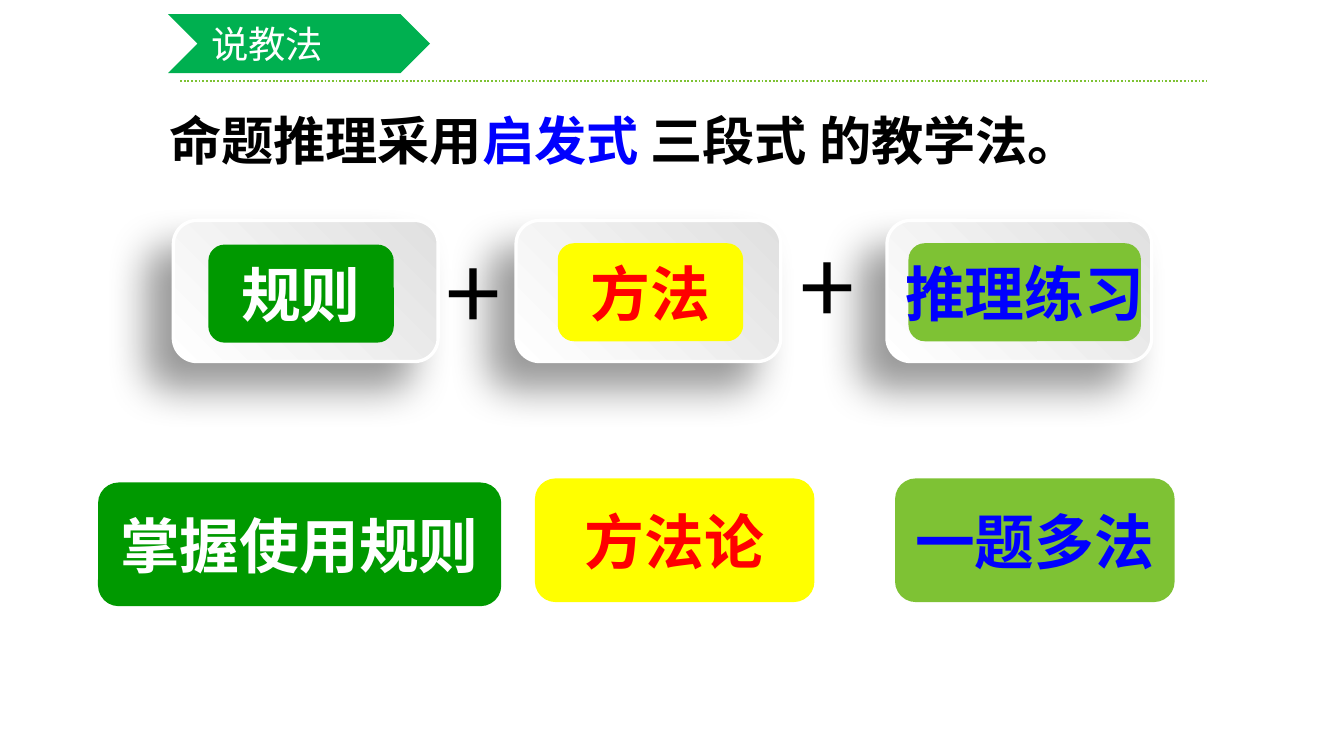
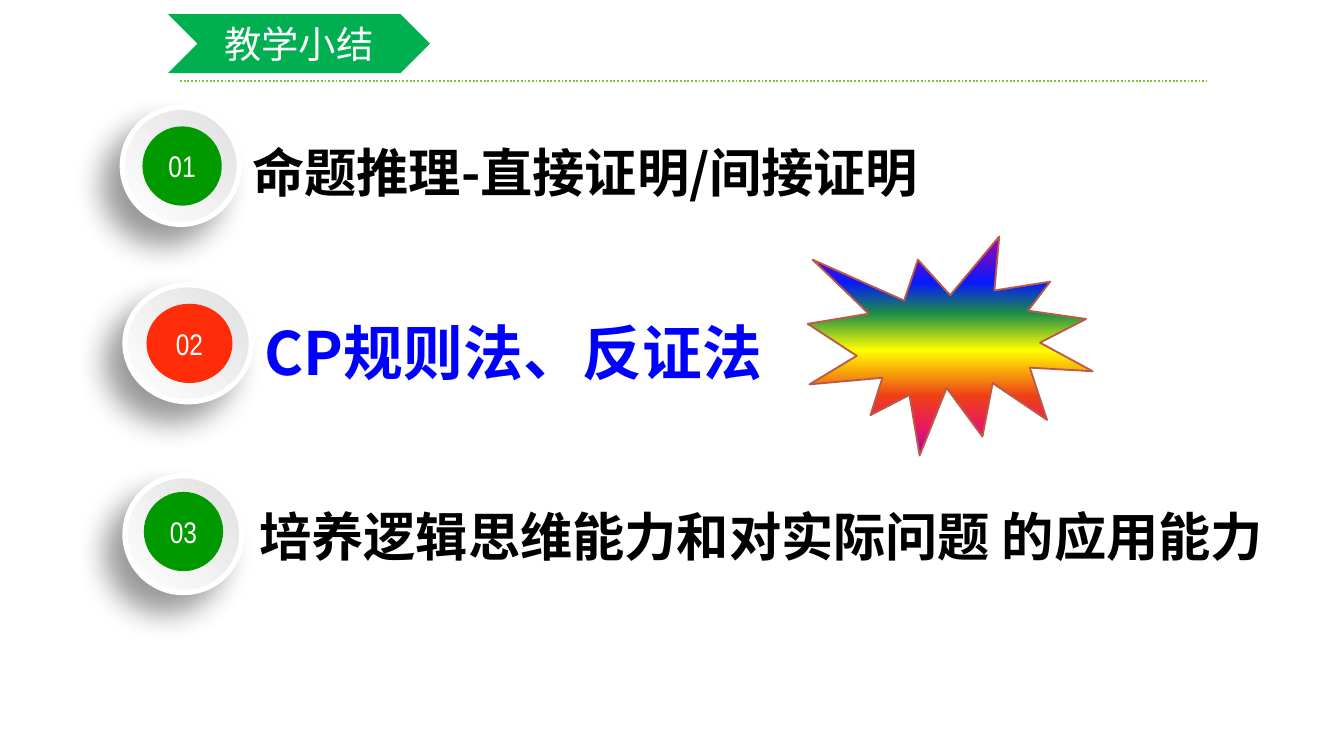
from dataclasses import dataclass

from lxml.etree import Element, SubElement
from pptx import Presentation
from pptx.dml.color import RGBColor
from pptx.enum.dml import MSO_LINE
from pptx.enum.shapes import MSO_CONNECTOR, MSO_SHAPE
from pptx.enum.text import MSO_ANCHOR, MSO_AUTO_SIZE, PP_ALIGN
from pptx.oxml.ns import qn
from pptx.util import Inches, Pt


@dataclass(frozen=True)
class Theme:
    font: str = "Noto Sans CJK SC"
    number_font: str = "Arial Narrow"
    white: str = "FFFFFF"
    black: str = "000000"
    banner: str = "00B050"
    green: str = "009900"
    lime: str = "7EC234"
    yellow: str = "FFFF00"
    red: str = "FF0000"
    orange: str = "FF2C0A"
    blue: str = "0000FF"
    burst_edge: str = "BD5949"
    title_size: int = 20
    number_size: int = 16
    body_size: int = 28
    label_size: int = 32
    plus_size: int = 54
    silver: tuple = ((0, "E0E0E0"), (100, "FFFFFF"))
    rainbow: tuple = ((0, "A603AB"), (21, "0819FB"), (35, "1A8D48"), (52, "FFFF00"),
                      (73, "EE3F17"), (88, "E81766"), (100, "A603AB"))


THEME = Theme()
WIDTH = Inches(10)
HEIGHT = WIDTH * 9 // 16
COLUMNS = 100
CELL = WIDTH / COLUMNS
TEXT_INSETS = (1.3, 0, 1.3, 0)


def grid(*cells):
    return [round(cell * CELL) for cell in cells]


def add_run(paragraph, text, size, color, bold=False, font=THEME.font):
    run = paragraph.add_run()
    run.text = text
    run.font.size = Pt(size)
    run.font.bold = bold
    run.font.color.rgb = RGBColor.from_string(color)
    run.font.name = font
    SubElement(run.font._element, qn("a:ea"), typeface=font)


def set_insets(frame, insets):
    (frame.margin_left, frame.margin_top,
     frame.margin_right, frame.margin_bottom) = grid(*insets)


def fill_gradient(shape, stops, angle):
    gradient = Element(qn("a:gradFill"), rotWithShape="1")
    stop_list = SubElement(gradient, qn("a:gsLst"))
    for position, color in stops:
        stop = SubElement(stop_list, qn("a:gs"), pos=str(position * 1000))
        SubElement(stop, qn("a:srgbClr"), val=color)
    SubElement(gradient, qn("a:lin"), ang=str(angle * 60000), scaled="0")
    shape._element.spPr.find(qn("a:prstGeom")).addnext(gradient)


def cast_shadow(shape, blur, distance):
    effects = shape._element.spPr.find(qn("a:effectLst"))
    shadow = SubElement(effects, qn("a:outerShdw"), blurRad=str(Pt(blur)), dist=str(Pt(distance)),
                        dir=str(135 * 60000), algn="tr", rotWithShape="0")
    color = SubElement(shadow, qn("a:srgbClr"), val=THEME.black)
    SubElement(color, qn("a:alpha"), val="40000")


def add_gradient_shape(shapes, kind, box, stops, angle, edge, edge_width):
    shape = shapes.add_shape(kind, *grid(*box))
    shape.shadow.inherit = False
    fill_gradient(shape, stops, angle)
    shape.line.color.rgb = RGBColor.from_string(edge)
    shape.line.width = Pt(edge_width)
    return shape


def add_raised_plate(shapes, kind, box, edge_width, blur, distance):
    plate = add_gradient_shape(shapes, kind, box, THEME.silver, 135, THEME.white, edge_width)
    cast_shadow(plate, blur, distance)


def add_flat_shape(shapes, kind, box, fill):
    shape = shapes.add_shape(kind, *grid(*box))
    shape.shadow.inherit = False
    shape.fill.solid()
    shape.fill.fore_color.rgb = RGBColor.from_string(fill)
    shape.line.fill.background()
    return shape


def add_label(shapes, kind, box, fill, text, color, size=THEME.label_size,
              bold=True, font=THEME.font):
    frame = add_flat_shape(shapes, kind, box, fill).text_frame
    frame.word_wrap = False
    frame.vertical_anchor = MSO_ANCHOR.MIDDLE
    set_insets(frame, (0, 0, 0, 0))
    frame.paragraphs[0].alignment = PP_ALIGN.CENTER
    add_run(frame.paragraphs[0], text, size, color, bold, font)


def add_text(shapes, box, runs, size, bold=True, align=PP_ALIGN.LEFT,
             insets=(1, 0.5, 1, 0.5), spacing=None):
    frame = shapes.add_textbox(*grid(*box)).text_frame
    frame.word_wrap = True
    set_insets(frame, insets)
    paragraph = frame.paragraphs[0]
    paragraph.alignment = align
    paragraph.line_spacing = spacing
    for text, color in runs:
        add_run(paragraph, text, size, color, bold)


def add_titled_slide(deck, text, align):
    slide = deck.slides.add_slide(deck.slide_layouts[5])
    rule = slide.shapes.add_connector(MSO_CONNECTOR.STRAIGHT, *grid(13.4, 6, 89.8, 6))
    rule.line.color.rgb = RGBColor.from_string(THEME.lime)
    rule.line.width = Pt(1)
    rule.line.dash_style = MSO_LINE.ROUND_DOT
    SubElement(rule._element.spPr, qn("a:effectLst"))

    banner = add_flat_shape(slide.shapes, MSO_SHAPE.CHEVRON, (12.5, 1.05, 19.5, 4.4), THEME.banner)
    title = slide.shapes.title
    banner._element.addnext(title._element)
    title.left, title.top, title.width, title.height = grid(14.7, 1.05, 15.1, 4.4)
    frame = title.text_frame
    frame.auto_size = MSO_AUTO_SIZE.NONE
    frame.vertical_anchor = MSO_ANCHOR.MIDDLE
    set_insets(frame, (1, 0.5, 1, 0.5))
    frame.paragraphs[0].alignment = align
    add_run(frame.paragraphs[0], text, THEME.title_size, THEME.white)
    return slide


def add_method_card(slide, left, label_box, fill, text, color, plus_at=None):
    card = slide.shapes.add_group_shape().shapes
    if plus_at:
        add_text(card, (*plus_at, 10, 9.8), [("+", THEME.black)], THEME.plus_size,
                 bold=False, align=PP_ALIGN.CENTER, insets=(0.7, 0.4, 0.7, 0.4))
    add_raised_plate(card, MSO_SHAPE.ROUNDED_RECTANGLE, (left, 16.4, 19.7, 10.5), 1.75, 22, 20)
    add_label(card, MSO_SHAPE.ROUNDED_RECTANGLE, label_box, fill, text, color)


def add_summary_point(slide, number, disc, badge, fill, text_box, text, color, size, spacing):
    point = slide.shapes.add_group_shape().shapes
    add_raised_plate(point, MSO_SHAPE.OVAL, (*disc, 8.7), 2.75, 16, 14)
    add_label(point, MSO_SHAPE.OVAL, (*badge, 5.9), fill, number, THEME.white,
              THEME.number_size, False, THEME.number_font)
    add_text(point, text_box, [(text, color)], size, insets=TEXT_INSETS, spacing=spacing)


def build_teaching_method(deck):
    slide = add_titled_slide(deck, "说教法", PP_ALIGN.LEFT)
    rules = (THEME.green, THEME.white)
    methods = (THEME.yellow, THEME.red)
    practice = (THEME.lime, THEME.blue)

    for left, label_box, (fill, color), text, plus_at in (
        (12.9, (15.5, 18.2, 13.8, 7.3), rules, "规则", None),
        (38.4, (41.5, 18.1, 13.8, 7.3), methods, "方法", (30.2, 16.8)),
        (66, (67.6, 18.1, 17.3, 7.3), practice, "推理练习", (56.6, 16.3)),
    ):
        add_method_card(slide, left, label_box, fill, text, color, plus_at)

    for left, top, width, (fill, color), text in (
        (7.3, 35.9, 30, rules, "掌握使用规则"),
        (39.8, 35.6, 20.8, methods, "方法论"),
        (66.6, 35.6, 20.8, practice, "一题多法"),
    ):
        add_label(slide.shapes, MSO_SHAPE.ROUNDED_RECTANGLE, (left, top, width, 9.2),
                  fill, text, color)

    add_text(slide.shapes, (11.6, 7.6, 73.3, 5.7),
             [("命题推理采用", THEME.black), ("启发式 ", THEME.blue),
              ("三段式 的教学法。", THEME.black)], THEME.body_size)


def build_summary(deck):
    slide = add_titled_slide(deck, "教学小结", PP_ALIGN.CENTER)
    plain = (THEME.black, THEME.body_size, 1.2)
    stressed = (THEME.blue, THEME.label_size, 1.5)
    for number, disc, badge, fill, text_box, text, style in (
        ("01", (9.1, 8, 8.7), (10.6, 9.4, 5.9), THEME.green,
         (16.6, 9.5, 55.1, 5.9), " 命题推理-直接证明/间接证明", plain),
        ("03", (9.3, 35.4, 8.7), (10.7, 36.6, 5.9), THEME.green,
         (18, 36.6, 77.9, 5.9), "培养逻辑思维能力和对实际问题 的应用能力", plain),
        ("02", (9.3, 21.2, 9.4), (10.9, 22.6, 6.4), THEME.orange,
         (18.4, 20.8, 43.2, 8.3), "CP规则法、反证法", stressed),
    ):
        add_summary_point(slide, number, disc, badge, fill, text_box, text, *style)
    add_gradient_shape(slide.shapes, MSO_SHAPE.EXPLOSION1, (60.1, 17.6, 21.2, 16.3),
                       THEME.rainbow, 90, THEME.burst_edge, 1)


def main():
    deck = Presentation()
    deck.slide_width, deck.slide_height = WIDTH, HEIGHT
    build_teaching_method(deck)
    build_summary(deck)
    deck.save("out.pptx")


if __name__ == "__main__":
    main()
